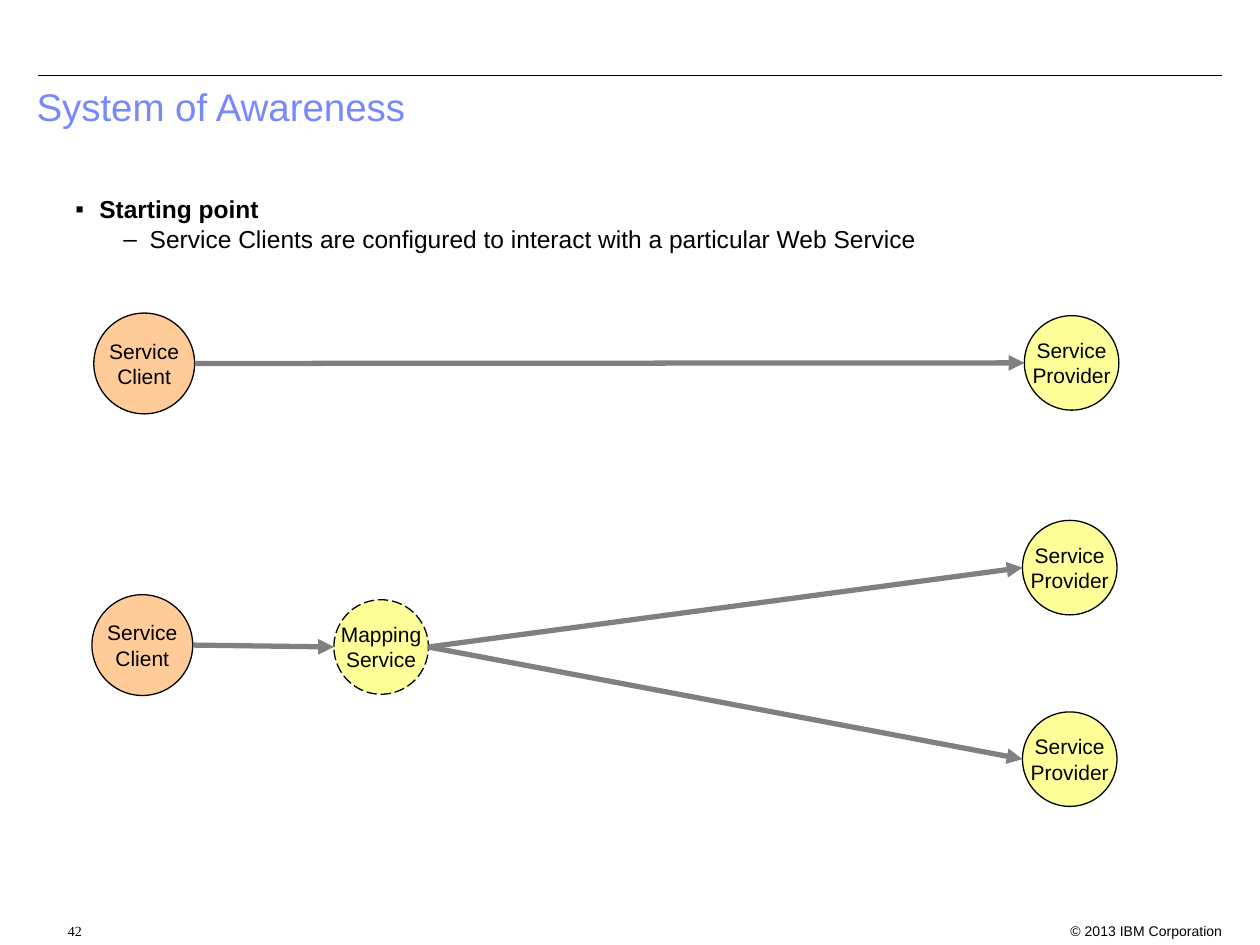
"""Build the System of Awareness slide on a grid of 100 columns by 75 rows."""
from dataclasses import dataclass
from typing import Any, Optional

from lxml import etree
from pptx import Presentation
from pptx import util as u
from pptx.dml.color import RGBColor
from pptx.enum import dml, shapes, text
from pptx.oxml import ns

BLACK = RGBColor(0, 0, 0)
GRAY = RGBColor(0x80, 0x80, 0x80)
TITLE_BLUE = RGBColor(0x78, 0x89, 0xFB)
YELLOW = RGBColor(0xFF, 0xFF, 0x99)
ORANGE = RGBColor(0xFF, 0xCC, 0x99)

WIDTH, HEIGHT = u.Inches(10), u.Inches(7.5)
COLS, ROWS = 100, 75
SMALL, LARGE = 7.5, 8


def col(n: float) -> u.Emu:
    """Convert columns to a length."""
    return u.Emu(round(WIDTH * n / COLS))


def row(n: float) -> u.Emu:
    """Convert rows to a length."""
    return u.Emu(round(HEIGHT * n / ROWS))


def set_all(obj: Any, values: dict[str, Any]) -> None:
    """Set every attribute in values on obj."""
    for name, value in values.items():
        setattr(obj, name, value)


@dataclass(frozen=True)
class Line:
    """One paragraph and its format."""

    words: str
    size: float
    color: RGBColor = BLACK
    font: str = "Arial"
    bold: bool = False
    align: text.PP_ALIGN = text.PP_ALIGN.LEFT
    spacing: float = 1.0
    before: float = 0
    level: int = 0
    margin: float = 0
    indent: float = 0
    bullet: Optional[str] = None


@dataclass(frozen=True)
class Box:
    """A text box placed on the grid."""

    left: float
    top: float
    width: float
    height: float
    lines: tuple[Line, ...]
    inset: float = 1


@dataclass(frozen=True)
class Node:
    """A labelled circle placed on the grid."""

    left: float
    top: float
    size: float
    label: tuple[str, str]
    fill: RGBColor
    dash: Optional[dml.MSO_LINE] = None

    @property
    def west(self) -> tuple[float, float]:
        """Return the leftmost point."""
        return self.left, self.top + self.size / 2

    @property
    def east(self) -> tuple[float, float]:
        """Return the rightmost point."""
        return self.left + self.size, self.top + self.size / 2


def write(tf: Any, lines: tuple[Line, ...], inset: float, wrap: bool) -> None:
    """Fill a text frame with formatted paragraphs."""
    set_all(tf, {"margin_left": col(inset), "margin_right": col(inset),
                 "margin_top": row(0.5), "margin_bottom": row(0.5),
                 "word_wrap": wrap})
    for i, line in enumerate(lines):
        p = tf.add_paragraph() if i else tf.paragraphs[0]
        set_all(p, {"alignment": line.align, "level": line.level,
                    "line_spacing": line.spacing,
                    "space_before": u.Pt(line.before)})
        ppr = p._p.get_or_add_pPr()
        ppr.set("marL", str(col(line.margin)))
        ppr.set("indent", str(col(line.indent)))
        if line.bullet:
            etree.SubElement(ppr, ns.qn("a:buFont"), typeface=line.font)
            etree.SubElement(ppr, ns.qn("a:buChar"), char=line.bullet)
        r = p.add_run()
        r.text = line.words
        set_all(r.font, {"name": line.font, "size": u.Pt(line.size),
                         "bold": line.bold})
        r.font.color.rgb = line.color


def add_box(s: Any, box: Box) -> None:
    """Draw a text box."""
    sp = s.shapes.add_textbox(col(box.left), row(box.top),
                              col(box.width), row(box.height))
    write(sp.text_frame, box.lines, box.inset, True)


def add_node(s: Any, node: Node) -> None:
    """Draw a labelled circle."""
    sp = s.shapes.add_shape(shapes.MSO_SHAPE.OVAL, col(node.left), row(node.top),
                            col(node.size), row(node.size))
    sp.shadow.inherit = False
    sp.fill.solid()
    sp.fill.fore_color.rgb = node.fill
    sp.line.color.rgb = BLACK
    set_all(sp.line, {"width": u.Pt(0.75), "dash_style": node.dash})
    sp.text_frame.vertical_anchor = text.MSO_ANCHOR.MIDDLE
    lines = tuple(Line(w, 12, align=text.PP_ALIGN.CENTER) for w in node.label)
    write(sp.text_frame, lines, 1, False)


def add_line(s: Any, start: tuple[float, float], end: tuple[float, float],
             color: RGBColor, weight: float, arrow: bool = False) -> None:
    """Draw a straight line, with an arrowhead at its end if asked."""
    sp = s.shapes.add_connector(shapes.MSO_CONNECTOR.STRAIGHT, col(start[0]),
                                row(start[1]), col(end[0]), row(end[1]))
    sp.line.color.rgb = color
    sp.line.width = u.Pt(weight)
    if arrow:
        etree.SubElement(sp.line._get_or_add_ln(), ns.qn("a:tailEnd"),
                         type="triangle")
    etree.SubElement(sp._element.spPr, ns.qn("a:effectLst"))


CLIENT = ("Service", "Client")
PROVIDER = ("Service", "Provider")
direct_client = Node(7.45, 24.85, LARGE, CLIENT, ORANGE)
direct_provider = Node(81.3, 25.05, SMALL, PROVIDER, YELLOW)
mapped_client = Node(7.3, 47.2, LARGE, CLIENT, ORANGE)
mapping = Node(26.5, 47.6, SMALL, ("Mapping", "Service"), YELLOW,
               dml.MSO_LINE.LONG_DASH)
upper_provider = Node(81.15, 41.3, SMALL, PROVIDER, YELLOW)
lower_provider = Node(81.15, 56.5, SMALL, PROVIDER, YELLOW)

NODES = (direct_client, direct_provider, mapped_client, mapping,
         upper_provider, lower_provider)
LINKS = ((direct_client, direct_provider), (mapped_client, mapping),
         (mapping, upper_provider), (mapping, lower_provider))
BOXES = (
    Box(2, 6.5, 95, 7.9,
        (Line("System of Awareness", 22, TITLE_BLUE, spacing=0.9),), 0.9),
    Box(5, 15.3, 90, 9.8, (
        Line("Starting point", 14, bold=True, spacing=0.85,
             margin=1.9, indent=-1.9, bullet="▪"),
        Line("Service Clients are configured to interact with a particular "
             "Web Service", 14, spacing=0.85, before=2.6, level=1,
             margin=5.9, indent=-2.1, bullet="–"))),
    Box(83, 72.7, 15, 2,
        (Line("© 2013 IBM Corporation", 8, align=text.PP_ALIGN.RIGHT),)),
    Box(4.4, 72.7, 4, 2, (Line("42", 8, font="Times New Roman"),)),
)


def main() -> None:
    """Build and save the slide."""
    prs = Presentation()
    set_all(prs, {"slide_width": WIDTH, "slide_height": HEIGHT})
    s = prs.slides.add_slide(prs.slide_layouts[6])
    add_line(s, (3, 6), (97, 6), BLACK, 0.75)
    for box in BOXES:
        add_box(s, box)
    for node in NODES:
        add_node(s, node)
    for source, target in LINKS:
        add_line(s, source.east, target.west, GRAY, 3, arrow=True)
    prs.save("out.pptx")


if __name__ == "__main__":
    main()
